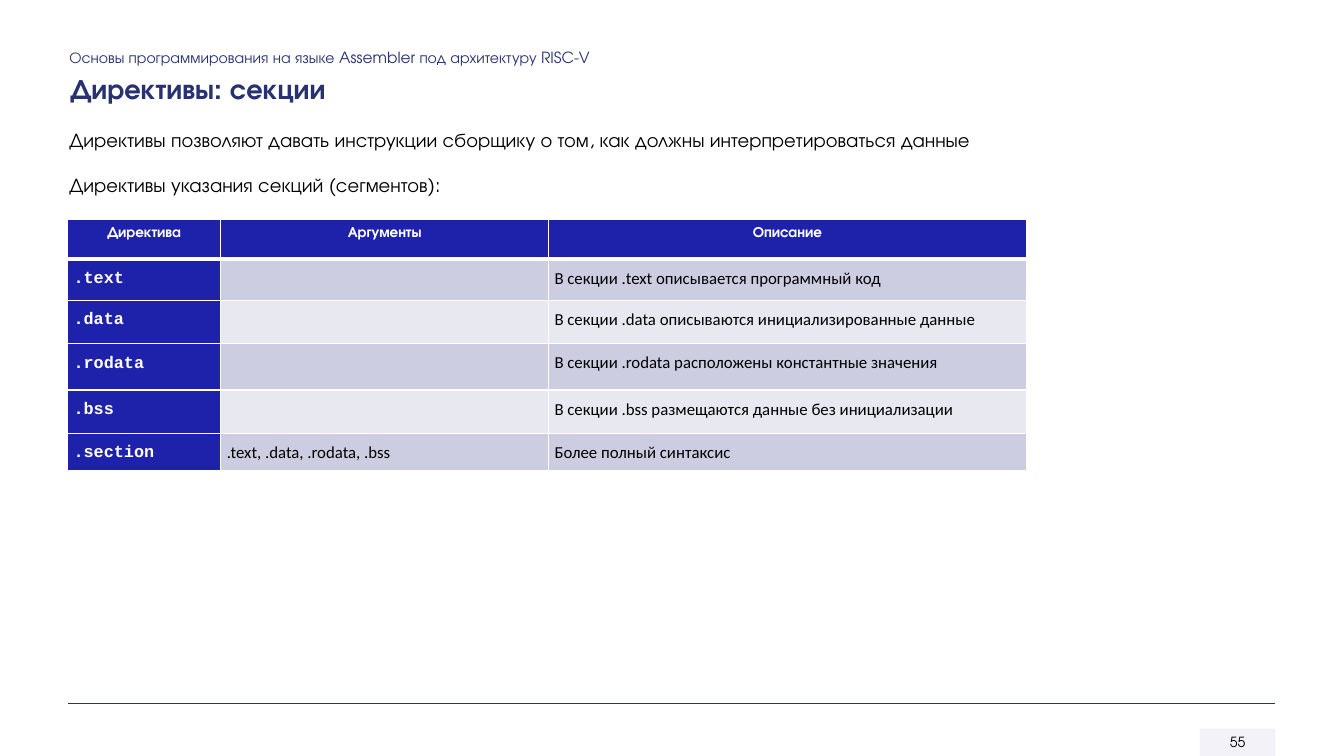
from lxml.etree import SubElement
from pptx import Presentation
from pptx.dml.color import RGBColor
from pptx.enum.shapes import MSO_CONNECTOR, MSO_SHAPE
from pptx.enum.text import MSO_ANCHOR, PP_ALIGN
from pptx.oxml.ns import qn
from pptx.util import Inches, Pt

HEAD_FONT, CODE_FONT, CELL_FONT = "TeX Gyre Adventor", "Courier New", "Calibri"
NAVY, BLUE, WHITE, BLACK = "283272", "1E22AA", "FFFFFF", "000000"
BANDS = ["CDCDE2", "E8E8F1"]
COLUMNS = [1.52, 3.25, 4.74]
ROWS = [0.39, 0.41, 0.43, 0.46, 0.43, 0.37]
DIRECTIVES = [
    ["Директива", "Аргументы", "Описание"],
    [".text", "", "В секции .text описывается программный код"],
    [".data", "", "В секции .data описываются инициализированные данные"],
    [".rodata", "", "В секции .rodata расположены константные значения"],
    [".bss", "", "В секции .bss размещаются данные без инициализации"],
    [".section", ".text, .data, .rodata, .bss", "Более полный синтаксис"],
]


def rgb(value):
    """Turn a hex string into a colour."""
    return RGBColor.from_string(value)


def write(tf, text, size, color, font=HEAD_FONT, bold=False, align=PP_ALIGN.LEFT):
    """Put one formatted paragraph into a text frame and return it."""
    tf.text = text
    p = tf.paragraphs[0]
    p.alignment = align
    for r in p.runs:
        r.font.size, r.font.name, r.font.bold = Pt(size), font, bold
        r.font.color.rgb = rgb(color)
    return p


def add_text(s, box, text, size, color, bold=False, wrap=True):
    """Add a line of text in the given box."""
    tf = s.shapes.add_textbox(*map(Inches, box)).text_frame
    tf.word_wrap = wrap
    write(tf, text, size, color, bold=bold)


def add_heading(s, left, top, width):
    """Add the course name with the slide title under it."""
    add_text(s, (left, top, width, 0.29),
             "Основы программирования на языке Assembler под архитектуру RISC-V", 11, NAVY)
    add_text(s, (left + 0.01, top + 0.23, 2.87, 0.44), "Директивы: секции", 20, NAVY,
             bold=True, wrap=False)


def add_intro(s, left, top, width):
    """Add the two lines that introduce the table."""
    lines = ["Директивы позволяют давать инструкции сборщику о том, как должны интерпретироваться данные",
             "Директивы указания секций (сегментов):"]
    for i, line in enumerate(lines):
        add_text(s, (left, top + 0.45 * i, width, 0.34), line, 14, BLACK)


def set_borders(cell, bottom):
    """Draw white cell borders, with the bottom one of the given width."""
    tc_pr = cell._tc.get_or_add_tcPr()
    for side, width in (("L", 1), ("R", 1), ("T", 1), ("B", bottom)):
        ln = SubElement(tc_pr, qn(f"a:ln{side}"), w=str(Pt(width)))
        SubElement(SubElement(ln, qn("a:solidFill")), qn("a:srgbClr"), val=WHITE)


def fill_cell(cell, row, col, text):
    """Style one table cell by its place and write its text."""
    header, code = row == 0, col == 0
    set_borders(cell, 3 if header else 1)
    cell.fill.solid()
    cell.fill.fore_color.rgb = rgb(BLUE if header or code else BANDS[(row - 1) % 2])
    if not text:
        return
    cell.margin_left = cell.margin_right = cell.margin_top = cell.margin_bottom = Inches(0.06)
    if header:
        p = write(cell.text_frame, text, 10.5, WHITE, bold=True, align=PP_ALIGN.CENTER)
    elif code:
        p = write(cell.text_frame, text, 12, WHITE, CODE_FONT, bold=True)
    else:
        p = write(cell.text_frame, text, 12, BLACK, CELL_FONT)
    p.line_spacing = 1.07 if header else Pt(16.8)
    p.space_after = Pt(8)


def add_directives(s, left, top):
    """Add the table of section directives."""
    box = map(Inches, (left, top, sum(COLUMNS), sum(ROWS)))
    table = s.shapes.add_table(len(ROWS), len(COLUMNS), *box).table
    for column, width in zip(table.columns, COLUMNS):
        column.width = Inches(width)
    for row, height in zip(table.rows, ROWS):
        row.height = Inches(height)
    for i, texts in enumerate(DIRECTIVES):
        for j, text in enumerate(texts):
            fill_cell(table.cell(i, j), i, j, text)


def add_footer(s, left, top, right):
    """Add the rule and the slide number below its right end."""
    number = s.shapes.add_shape(MSO_SHAPE.RECTANGLE,
                                *map(Inches, (right - 0.75, top + 0.25, 0.75, 0.27)))
    number.shadow.inherit = False
    number.fill.solid()
    number.fill.fore_color.rgb = rgb("F3F1F9")
    SubElement(number._element.spPr.find(".//" + qn("a:srgbClr")), qn("a:alpha"), val="90000")
    number.line.fill.background()
    number.text_frame.vertical_anchor = MSO_ANCHOR.MIDDLE
    write(number.text_frame, "55", 10, BLACK, align=PP_ALIGN.CENTER)
    rule = s.shapes.add_connector(MSO_CONNECTOR.STRAIGHT, *map(Inches, (left, top, right, top)))
    rule.line.color.rgb = rgb(NAVY)
    rule.line.width = Pt(1)
    SubElement(rule._element.spPr, qn("a:effectLst"))


def main():
    """Build and save the slide."""
    prs = Presentation()
    prs.slide_width, prs.slide_height = Inches(13.33), Inches(7.5)
    s = prs.slides.add_slide(prs.slide_layouts[6])
    add_footer(s, 0.67, 6.98, 12.65)
    add_heading(s, 0.59, 0.43, 10.24)
    add_intro(s, 0.59, 1.22, 10.36)
    add_directives(s, 0.67, 2.18)
    prs.save("out.pptx")


if __name__ == "__main__":
    main()
